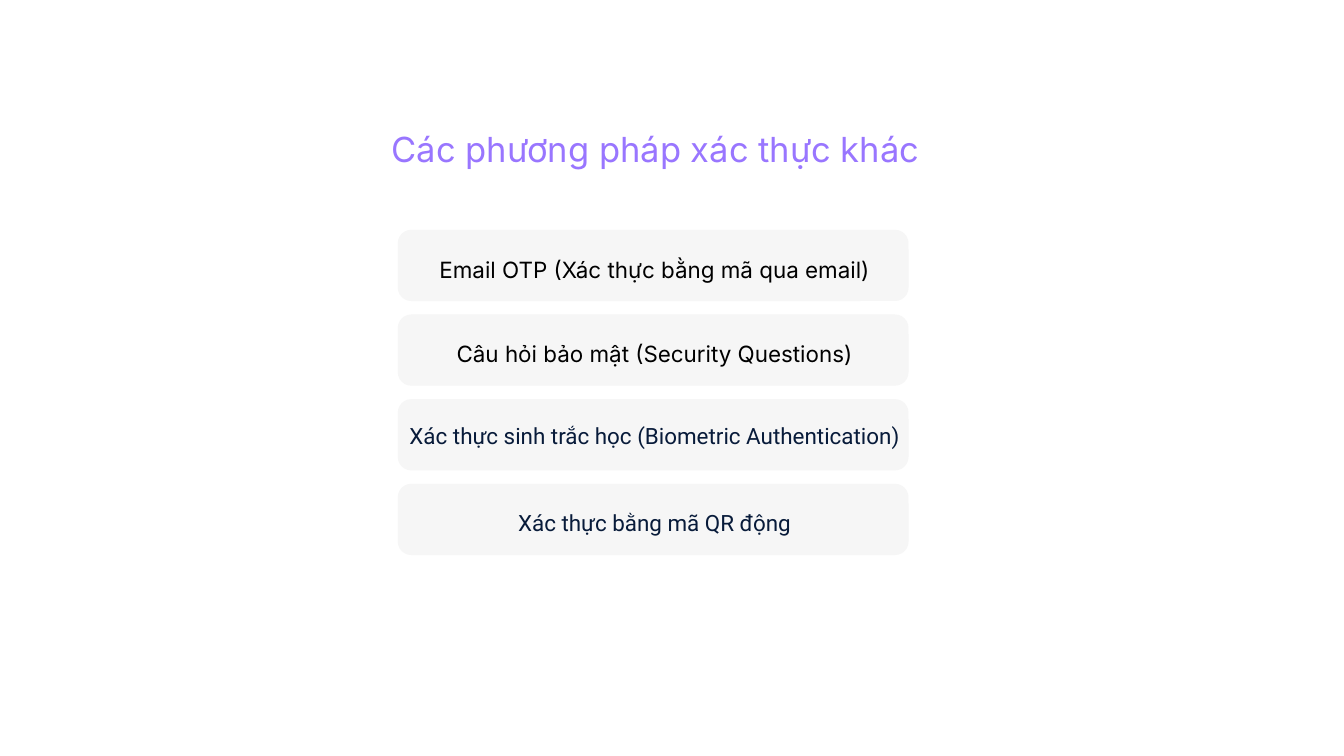
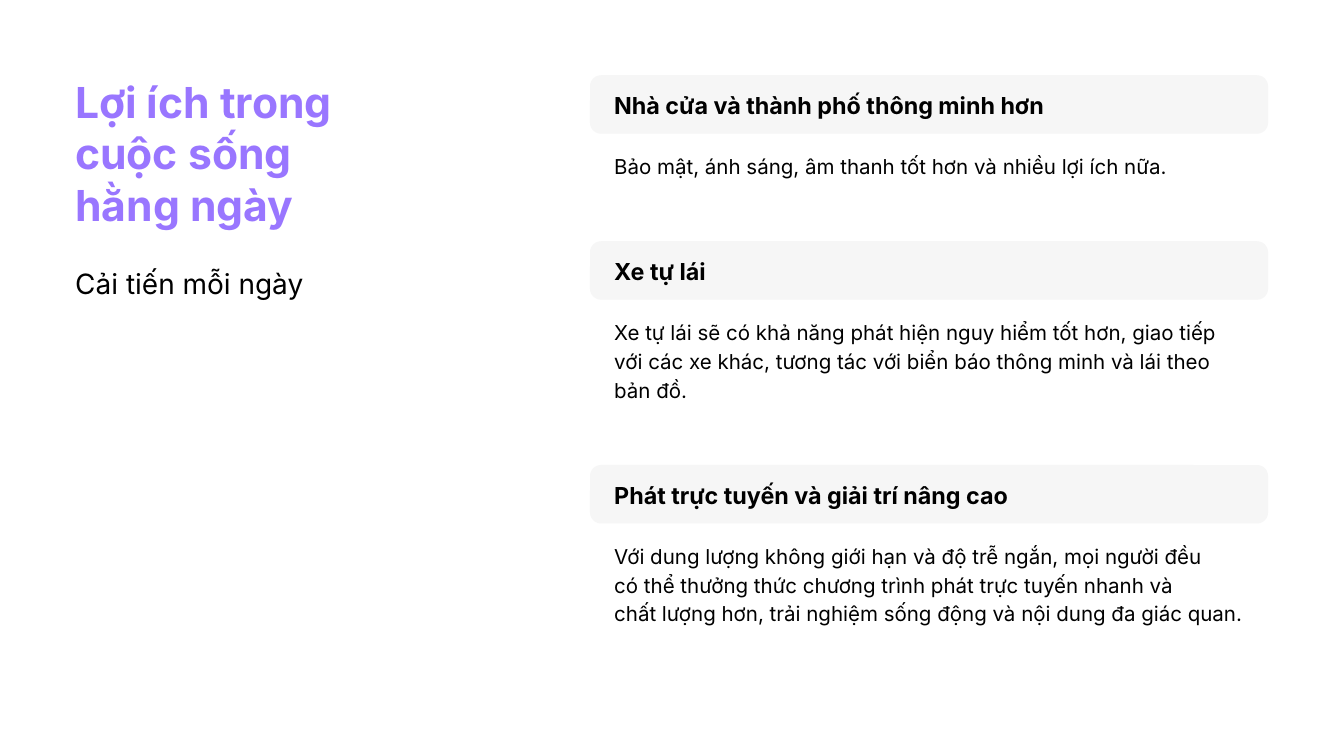
from pptx import Presentation
from pptx.dml.color import RGBColor
from pptx.enum.shapes import MSO_SHAPE
from pptx.enum.text import MSO_AUTO_SIZE, PP_ALIGN
from pptx.oxml.ns import qn
from pptx.util import Inches, Pt
from lxml import etree

ROUNDED = MSO_SHAPE.ROUNDED_RECTANGLE
LEFT, CENTER = PP_ALIGN.LEFT, PP_ALIGN.CENTER
GROW = MSO_AUTO_SIZE.SHAPE_TO_FIT_TEXT

# Square grid: 20 columns by 11.25 rows
COLS, ROWS = 20, 11.25
CELL = Inches(1)

PURPLE, BLACK, NAVY, GREY = "9976FF", "000000", "081B3A", "F1F1F1"
BAR_OPACITY = 64
CORNER = 0.19

METHODS = [  # label, font, colour, text width, text offset in the bar
    ("Email OTP (Xác thực bằng mã qua email)", "Inter", BLACK, 6.89, 0.32),
    ("Câu hỏi bảo mật (Security Questions)", "Inter", BLACK, 6.89, 0.31),
    ("Xác thực sinh trắc học (Biometric Authentication)", "Roboto", NAVY, 7.98, 0.27),
    ("Xác thực bằng mã QR động", "Roboto", NAVY, 6.89, 0.31),
]

BENEFITS = [  # heading, paragraphs, lines shown
    ("Nhà cửa và thành phố thông minh hơn",
     ["Bảo mật, ánh sáng, âm thanh tốt hơn và nhiều lợi ích nữa."], 1),
    ("Xe tự lái",
     ["Xe tự lái sẽ có khả năng phát hiện nguy hiểm tốt hơn, giao tiếp với các xe "
      "khác, tương tác với biển báo thông minh và lái theo bản đồ."], 3),
    ("Phát trực tuyến và giải trí nâng cao",
     ["Với dung lượng không giới hạn và độ trễ ngắn, mọi người đều",
      "có thể thưởng thức chương trình phát trực tuyến nhanh và",
      "chất lượng hơn, trải nghiệm sống động và nội dung đa giác quan."], 3),
]


def rgb(color):
    return RGBColor.from_string(color)


def cells(*values):
    return [round(v * CELL) for v in values]


def add_bar(s, x, y, w, h):
    """Translucent grey rounded bar."""
    sp = s.shapes.add_shape(ROUNDED, *cells(x, y, w, h))
    sp.adjustments[0] = CORNER
    sp.shadow.inherit = False
    sp.line.fill.background()
    sp.fill.solid()
    sp.fill.fore_color.rgb = rgb(GREY)
    color = sp.fill._xPr.find(".//" + qn("a:srgbClr"))
    etree.SubElement(color, qn("a:alpha"), val=str(BAR_OPACITY * 1000))


def add_text(s, x, y, w, h, lines, size, spacing, color=BLACK, font="Inter",
             bold=False, align=LEFT):
    """Text box without margins, one paragraph a line."""
    tf = s.shapes.add_textbox(*cells(x, y, w, h)).text_frame
    tf.word_wrap = True
    tf.auto_size = GROW
    tf.margin_left = tf.margin_right = tf.margin_top = tf.margin_bottom = 0
    for i, line in enumerate(lines):
        p = tf.paragraphs[0] if i == 0 else tf.add_paragraph()
        p.add_run().text = line
        p.alignment = align
        p.line_spacing = Pt(spacing)
        p.font.size, p.font.name, p.font.bold = Pt(size), font, bold
        p.font.color.rgb = rgb(color)


def build_methods(s):
    left, top, width, height, step = 5.92, 3.42, 7.6, 1.06, 1.26
    middle = 9.74
    for i, (label, font, color, text_w, offset) in enumerate(METHODS):
        y = top + i * step
        add_bar(s, left, y, width, height)
        add_text(s, middle - text_w / 2, y + offset, text_w, 0.45, [label],
                 24, 33.6, color, font, align=CENTER)
    add_text(s, 5.83, 1.91, 8.96, 0.62, ["Các phương pháp xác thực khác"],
             37, 44.4, PURPLE)


def build_benefits(s):
    # Title column
    add_text(s, 1.12, 1.13, 6.44, 2.28,
             ["Lợi ích trong", "cuộc sống", "hằng ngày"], 45.7, 54.9, PURPLE, bold=True)
    add_text(s, 1.12, 3.97, 6.44, 0.49, ["Cải tiến mỗi ngày"], 30, 36)

    # Benefits, each as deep as its body text
    left, width, indent, line_h, y = 8.78, 10.09, 0.36, 0.43, 1.12
    text_w = width - 2 * indent
    for heading, body, count in BENEFITS:
        add_bar(s, left, y, width, 0.87)
        add_text(s, left + indent, y + 0.17, text_w, 0.45, [heading], 25, 35, bold=True)
        add_text(s, left + indent, y + 1.11, text_w, count * line_h, body, 22, 30.8)
        y += 2.04 + count * line_h


def main():
    prs = Presentation()
    prs.slide_width, prs.slide_height = cells(COLS, ROWS)
    for build in (build_methods, build_benefits):
        s = prs.slides.add_slide(prs.slide_layouts[6])
        s.background.fill.solid()
        s.background.fill.fore_color.rgb = rgb("FFFFFF")
        build(s)
    prs.save("out.pptx")


if __name__ == "__main__":
    main()
